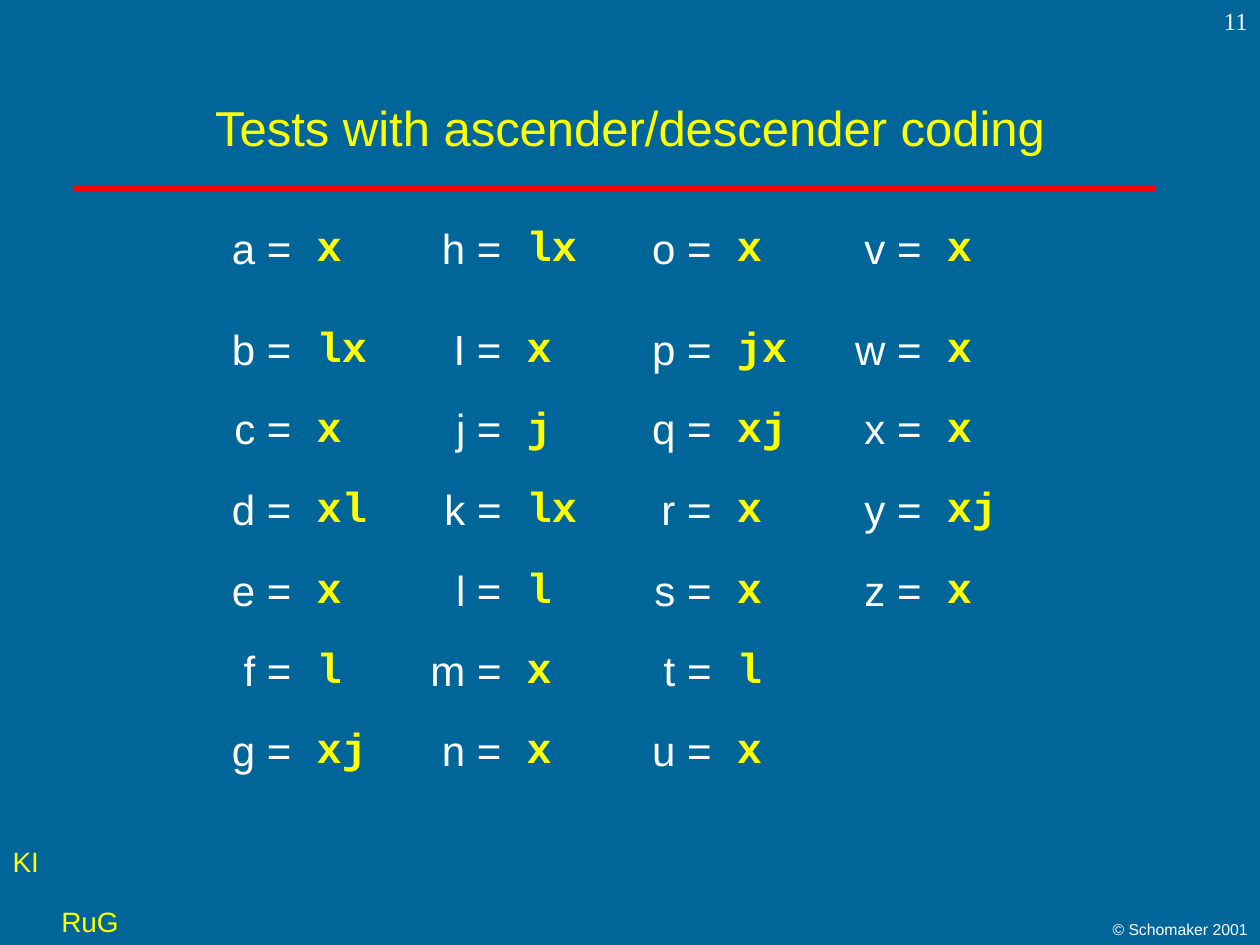
from dataclasses import dataclass

from lxml import etree
from pptx import Presentation
from pptx.dml.color import RGBColor
from pptx.enum.shapes import MSO_CONNECTOR
from pptx.enum.text import MSO_ANCHOR, MSO_AUTO_SIZE, PP_ALIGN
from pptx.oxml.ns import qn
from pptx.util import Inches, Pt

LEFT, CENTER, RIGHT = PP_ALIGN.LEFT, PP_ALIGN.CENTER, PP_ALIGN.RIGHT
MIDDLE = MSO_ANCHOR.MIDDLE
NO_AUTOFIT, GROW = MSO_AUTO_SIZE.NONE, MSO_AUTO_SIZE.SHAPE_TO_FIT_TEXT
STRAIGHT = MSO_CONNECTOR.STRAIGHT

COLORS = {"back": "006699", "rule": "FF0000", "accent": "FFFF00", "text": "FFFFFF"}
NO_STYLE_NO_GRID = "{2D5ABB26-0587-4C30-8999-92F81FD0307C}"

LETTER_FORMAT = {"name": "Arial", "size": Pt(24), "bold": False}
CODE_FORMAT = {"name": "Courier New", "size": Pt(24), "bold": True}

# Letters and their codes, one list for each pair of table columns
CODING = [
    [("a", "x"), ("b", "lx"), ("c", "x"), ("d", "xl"), ("e", "x"), ("f", "l"), ("g", "xj")],
    [("h", "lx"), ("I", "x"), ("j", "j"), ("k", "lx"), ("l", "l"), ("m", "x"), ("n", "x")],
    [("o", "x"), ("p", "jx"), ("q", "xj"), ("r", "x"), ("s", "x"), ("t", "l"), ("u", "x")],
    [("v", "x"), ("w", "x"), ("x", "x"), ("y", "xj"), ("z", "x")],
]
ROW_HEIGHTS = [0.8, 0.63, 0.64, 0.64, 0.64, 0.63, 0.64]


@dataclass
class Label:
    text: str
    box: tuple[float, float, float, float]
    size: int
    color: str
    align: PP_ALIGN
    font: str = "Arial"
    grow: bool = False


LABELS = [
    Label("KI", (0, 6.65, 0.41, 0.37), 16, "accent", CENTER, grow=True),
    Label("RuG", (0.38, 7.13, 0.67, 0.37), 16, "accent", CENTER, grow=True),
    Label("© Schomaker 2001", (7.67, 7.25, 2.33, 0.25), 9, "text", RIGHT),
    Label("11", (7.92, 0, 2.08, 0.5), 14, "text", RIGHT, "Times New Roman"),
]


def rgb(color: str) -> RGBColor:
    return RGBColor.from_string(COLORS[color])


def write(tf, text: str, color: str, align: PP_ALIGN, fmt: dict) -> None:
    p = tf.paragraphs[0]
    p.alignment = align
    r = p.add_run()
    r.text = text
    for name, value in fmt.items():
        setattr(r.font, name, value)
    r.font.color.rgb = rgb(color)


def add_label(s, label: Label) -> None:
    tf = s.shapes.add_textbox(*map(Inches, label.box)).text_frame
    tf.word_wrap = not label.grow
    tf.auto_size = GROW if label.grow else NO_AUTOFIT
    write(tf, label.text, label.color, label.align,
          {"name": label.font, "size": Pt(label.size)})


def add_title(s, text: str) -> None:
    sp = s.shapes.title
    sp.left, sp.top, sp.width, sp.height = map(Inches, (0.75, 0.67, 8.5, 0.67))
    tf = sp.text_frame
    tf.auto_size = NO_AUTOFIT
    tf.vertical_anchor = MIDDLE
    write(tf, text, "accent", CENTER, {"name": "Arial", "size": Pt(28)})


def add_rule(s) -> None:
    line = s.shapes.add_connector(STRAIGHT, Inches(0.58), Inches(1.5),
                                  Inches(9.17), Inches(1.5))
    line.line.color.rgb = rgb("rule")
    line.line.width = Pt(3)
    etree.SubElement(line._element.spPr, qn("a:effectLst"))


def add_coding_table(s) -> None:
    table = s.shapes.add_table(len(ROW_HEIGHTS), 2 * len(CODING), Inches(1.58),
                               Inches(1.75), Inches(6.67), Inches(4.61)).table
    table.first_row = table.horz_banding = False
    table._tbl.tblPr.find(qn("a:tableStyleId")).text = NO_STYLE_NO_GRID
    for row, height in zip(table.rows, ROW_HEIGHTS):
        row.height = Inches(height)
    for cell in table.iter_cells():
        cell.fill.background()
    for col, pairs in enumerate(CODING):
        for row, (letter, code) in enumerate(pairs):
            write(table.cell(row, 2 * col).text_frame, f"{letter} =",
                  "text", RIGHT, LETTER_FORMAT)
            write(table.cell(row, 2 * col + 1).text_frame, code,
                  "accent", LEFT, CODE_FORMAT)


def main() -> None:
    prs = Presentation()
    prs.slide_width, prs.slide_height = Inches(10), Inches(7.5)
    s = prs.slides.add_slide(prs.slide_layouts[5])
    s.background.fill.solid()
    s.background.fill.fore_color.rgb = rgb("back")

    # Frame of the slide: rule, corner labels and page number
    add_rule(s)
    for label in LABELS:
        add_label(s, label)

    # Content
    add_title(s, "Tests with ascender/descender coding")
    add_coding_table(s)
    prs.save("out.pptx")


if __name__ == "__main__":
    main()
